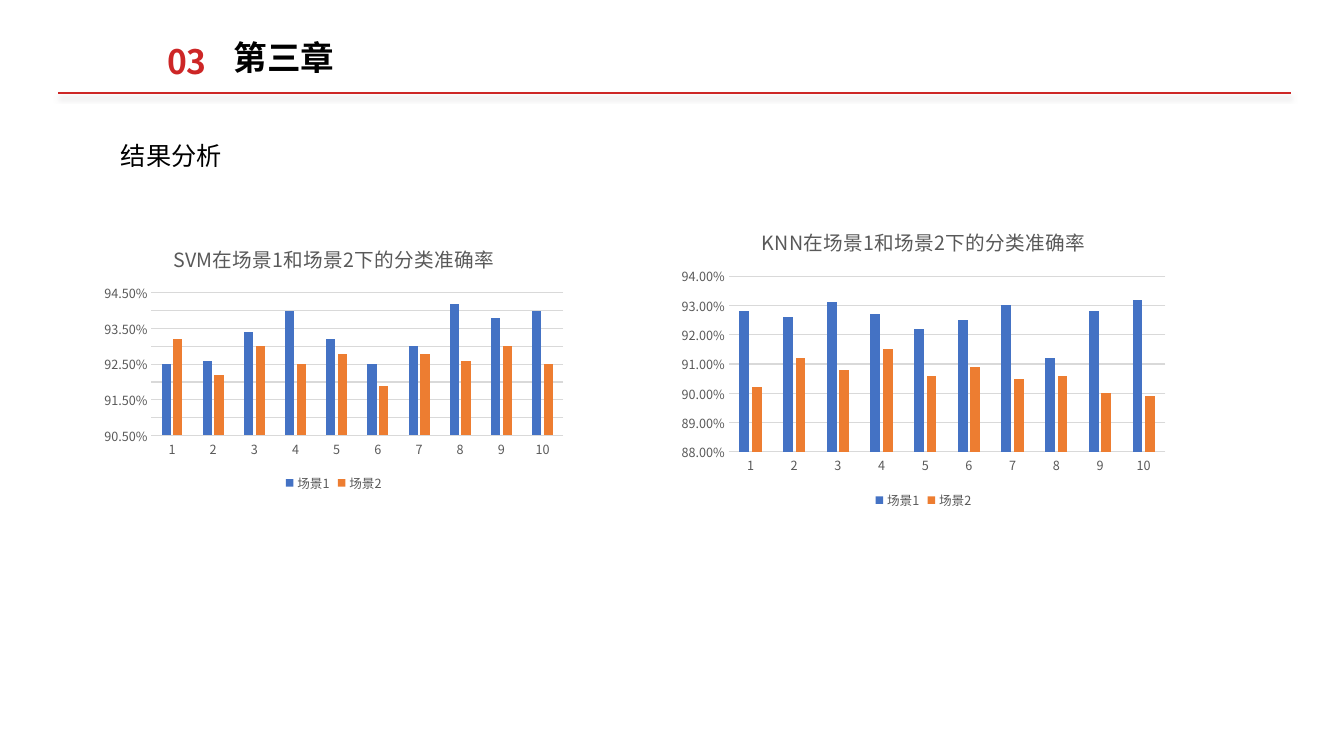
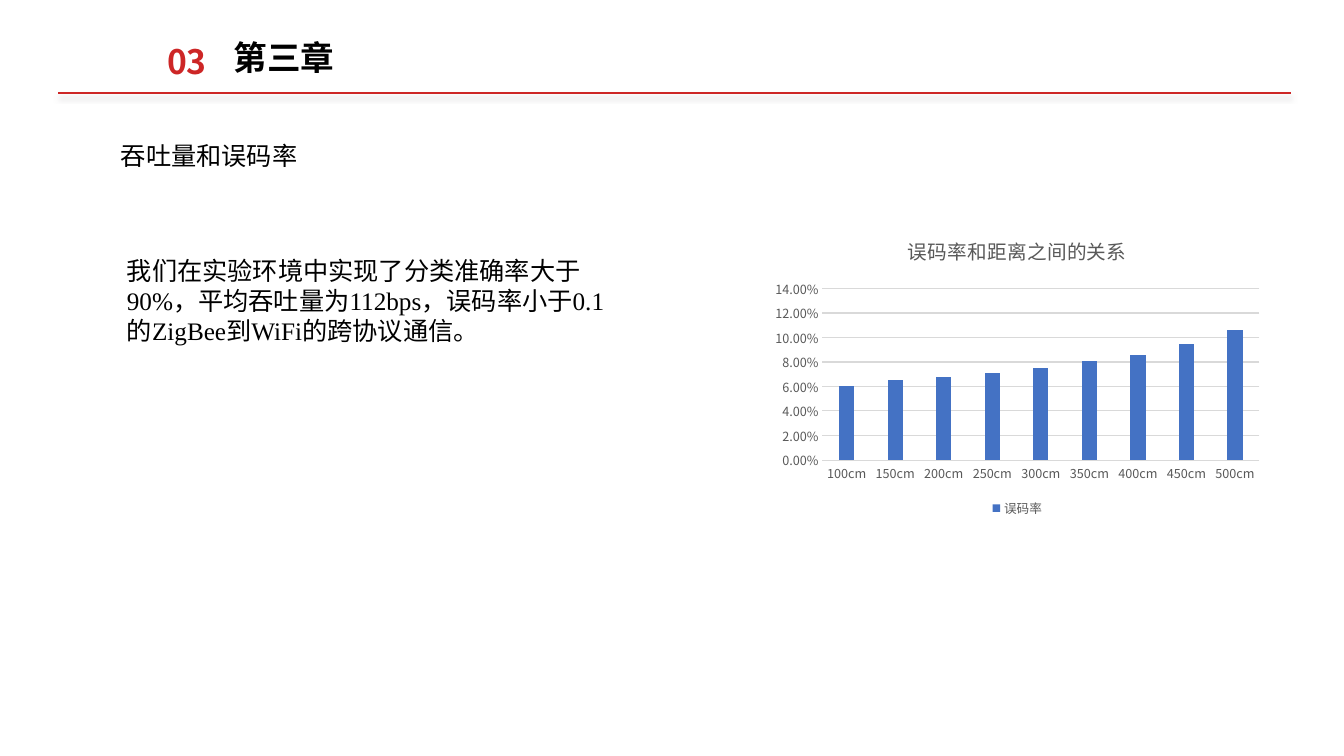
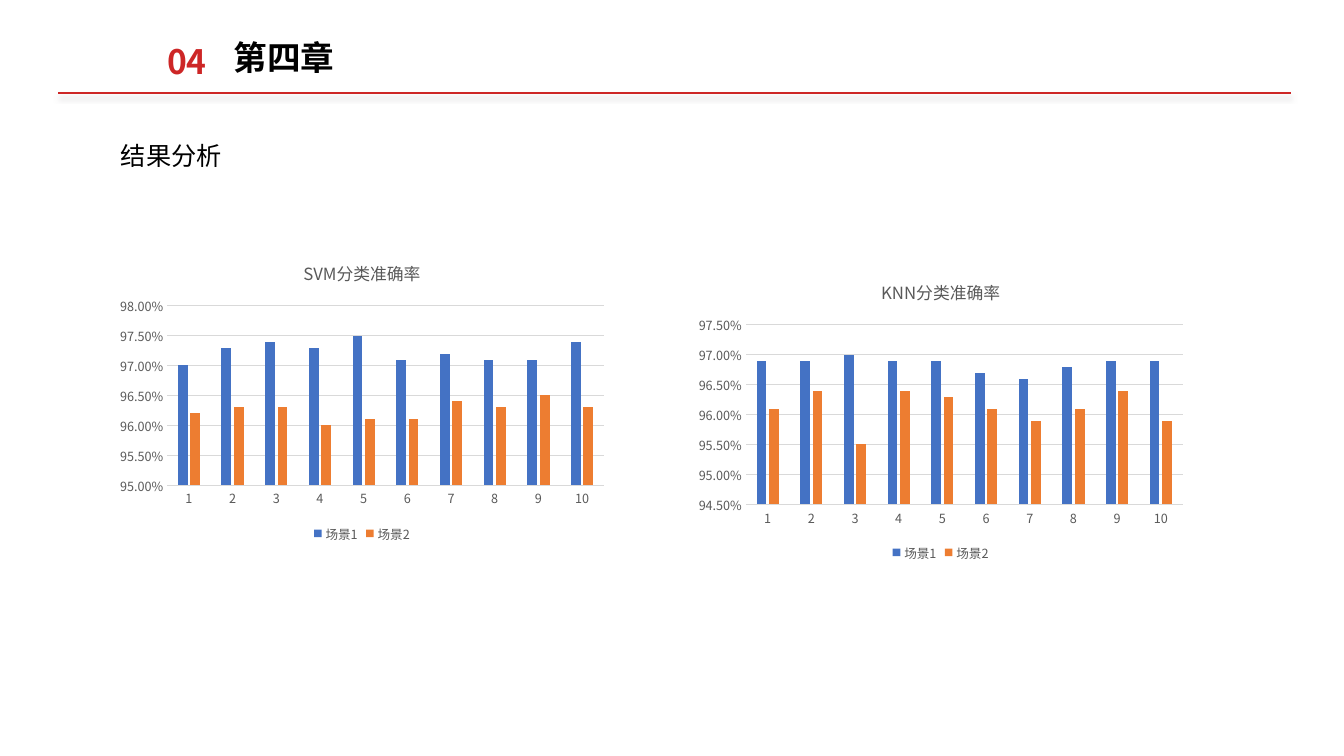
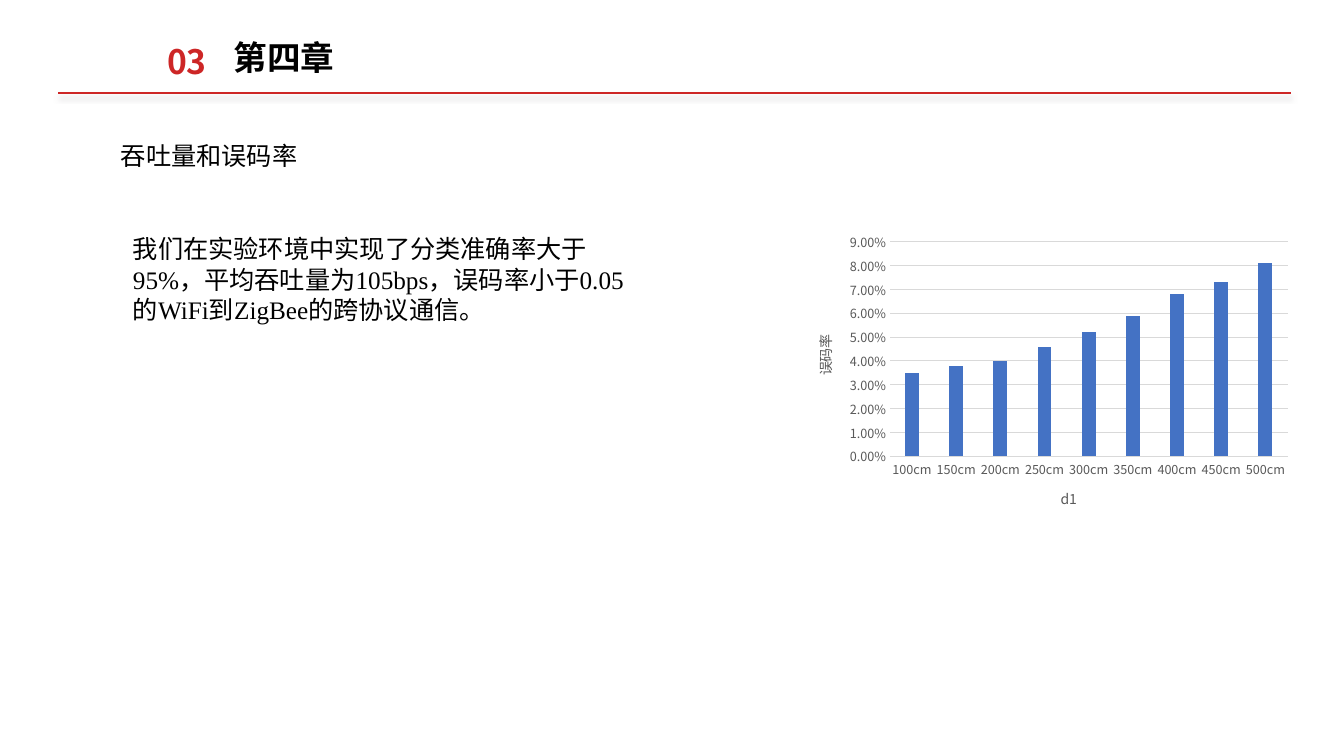
"""Build four slides on classification accuracy and bit error rate."""
from lxml import etree
from pptx import Presentation
from pptx.chart.data import CategoryChartData
from pptx.dml.color import RGBColor
from pptx.enum.chart import XL_CHART_TYPE as ChartType, XL_LEGEND_POSITION as LegendPosition, XL_TICK_MARK as TickMark
from pptx.enum.shapes import MSO_CONNECTOR as Connector
from pptx.enum.text import MSO_AUTO_SIZE as AutoSize
from pptx.oxml import parse_xml
from pptx.oxml.ns import nsdecls, qn
from pptx.util import Inches, Pt

COLORS = {
    "accent": "CD2626",
    "text": "000000",
    "chart_text": "595959",
    "grid": "D9D9D9",
    "shadow": "D9D7DA",
    "series": ["4472C4", "ED7D31"],
}
SANS = "Noto Sans CJK SC"
SERIF = "Times New Roman"
ROUNDS = [str(number) for number in range(1, 11)]
DISTANCES = [f"{distance}cm" for distance in range(100, 501, 50)]
SCENES = ["场景1", "场景2"]

SLIDES = [
    {
        "number": "03", "chapter": "第三章", "heading": "结果分析",
        "charts": [
            {
                "box": (0.94, 2.26, 4.74, 2.66), "title": "SVM在场景1和场景2下的分类准确率", "title_size": 14,
                "categories": ROUNDS, "names": SCENES, "legend": True, "scale": (90.5, 94.5, 0.5),
                "percents": [
                    [92.5, 92.6, 93.4, 94, 93.2, 92.5, 93, 94.2, 93.8, 94],
                    [93.2, 92.2, 93, 92.5, 92.8, 91.9, 92.8, 92.6, 93, 92.5],
                ],
            },
            {
                "box": (6.66, 2.08, 5, 3.01), "title": "KNN在场景1和场景2下的分类准确率", "title_size": 14,
                "categories": ROUNDS, "names": SCENES, "legend": True, "scale": (88, 94, 1),
                "percents": [
                    [92.8, 92.6, 93.1, 92.7, 92.2, 92.5, 93, 91.2, 92.8, 93.2],
                    [90.2, 91.2, 90.8, 91.5, 90.6, 90.9, 90.5, 90.6, 90, 89.9],
                ],
            },
        ],
    },
    {
        "number": "03", "chapter": "第三章", "heading": "吞吐量和误码率",
        "body": "我们在实验环境中实现了分类准确率大于90%，平均吞吐量为112bps，误码率小于0.1的ZigBee到WiFi的跨协议通信。",
        "body_box": (1.16, 2.48, 5.12, 1.01),
        "charts": [
            {
                "box": (7.59, 2.17, 5, 3), "title": "误码率和距离之间的关系", "title_size": 14,
                "categories": DISTANCES, "names": ["误码率"], "legend": True, "scale": (0, 15, 2),
                "percents": [[6, 6.5, 6.8, 7.1, 7.5, 8.1, 8.6, 9.5, 10.6]],
            },
        ],
    },
    {
        "number": "04", "chapter": "第四章", "heading": "结果分析",
        "charts": [
            {
                "box": (1.09, 2.42, 5, 3), "title": "SVM分类准确率", "title_size": 12,
                "categories": ROUNDS, "names": SCENES, "legend": True, "scale": (95, 98, 0.5),
                "percents": [
                    [97, 97.3, 97.4, 97.3, 97.5, 97.1, 97.2, 97.1, 97.1, 97.4],
                    [96.2, 96.3, 96.3, 96, 96.1, 96.1, 96.4, 96.3, 96.5, 96.3],
                ],
            },
            {
                "box": (6.83, 2.61, 5, 3), "title": "KNN分类准确率", "title_size": 12,
                "categories": ROUNDS, "names": SCENES, "legend": True, "scale": (94.5, 97.5, 0.5),
                "percents": [
                    [96.9, 96.9, 97, 96.9, 96.9, 96.7, 96.6, 96.8, 96.9, 96.9],
                    [96.1, 96.4, 95.5, 96.4, 96.3, 96.1, 95.9, 96.1, 96.4, 95.9],
                ],
            },
        ],
    },
    {
        "number": "03", "chapter": "第四章", "heading": "吞吐量和误码率",
        "body": "我们在实验环境中实现了分类准确率大于95%，平均吞吐量为105bps，误码率小于0.05的WiFi到ZigBee的跨协议通信。",
        "body_box": (1.22, 2.27, 5.12, 1.01),
        "charts": [
            {
                "box": (7.87, 2.25, 5, 3), "axis_titles": ("d1", "误码率"),
                "categories": DISTANCES, "names": ["误码率"], "legend": False, "scale": (0, 9, 1),
                "percents": [[3.5, 3.8, 4, 4.6, 5.2, 5.9, 6.8, 7.3, 8.1]],
            },
        ],
    },
]


def style_font(font, size, color, name=SANS, bold=False):
    font.name, font.size, font.bold = name, Pt(size), bold
    font.color.rgb = RGBColor.from_string(color)


def add_text(slide, box, text, size, color=COLORS["text"], name=SANS, bold=False):
    shape = slide.shapes.add_textbox(*map(Inches, box))
    text_frame = shape.text_frame
    text_frame.word_wrap = True
    text_frame.auto_size = AutoSize.SHAPE_TO_FIT_TEXT
    text_frame.text = text
    paragraph = text_frame.paragraphs[0]
    run = paragraph.runs[0]
    style_font(run.font, size, color, name, bold)
    if name == SANS:
        latin = run.font._element.find(qn("a:latin"))
        east_asian = etree.Element(qn("a:ea"), typeface=name)
        latin.addnext(east_asian)
    return paragraph


presentation = Presentation()
presentation.slide_width, presentation.slide_height = Inches(13.33), Inches(7.5)

for content in SLIDES:
    slide = presentation.slides.add_slide(presentation.slide_layouts[6])

    rule = slide.shapes.add_connector(Connector.STRAIGHT, Inches(0.58), Inches(0.92), Inches(12.8), Inches(0.92))
    rule.line.color.rgb = RGBColor.from_string(COLORS["accent"])
    rule.line.width = Pt(1.5)
    rule._element.spPr.append(parse_xml(
        f'<a:effectLst {nsdecls("a")}>'
        f'<a:outerShdw blurRad="{Pt(4)}" dist="{Pt(3)}" dir="5400000" algn="t" rotWithShape="0">'
        f'<a:srgbClr val="{COLORS["shadow"]}"><a:alpha val="60000"/></a:srgbClr>'
        '</a:outerShdw></a:effectLst>'))

    number = add_text(slide, (1.56, 0.27, 0.89, 0.61), content["number"], 24, COLORS["accent"], bold=True)
    spacer = number.add_run()
    spacer.text = " "
    style_font(spacer.font, 30, COLORS["accent"], "Arial", bold=True)
    add_text(slide, (2.22, 0.32, 2.19, 0.5), content["chapter"], 24, bold=True)
    add_text(slide, (1.1, 1.34, 5.25, 0.4), content["heading"], 18)
    if "body" in content:
        add_text(slide, content["body_box"], content["body"], 18, name=SERIF)

    for details in content["charts"]:
        data = CategoryChartData(number_format="0.00%")
        data.categories = details["categories"]
        for name, percents in zip(details["names"], details["percents"]):
            data.add_series(name, [round(percent / 100, 3) for percent in percents])
        box = map(Inches, details["box"])
        chart = slide.shapes.add_chart(ChartType.COLUMN_CLUSTERED, *box, data).chart
        style_font(chart.font, 10, COLORS["text"])

        chart.has_title = "title" in details
        if chart.has_title:
            chart.chart_title.include_in_layout = False
            paragraph = chart.chart_title.text_frame.paragraphs[0]
            paragraph.text = details["title"]
            style_font(paragraph.runs[0].font, details["title_size"], COLORS["chart_text"])

        chart.has_legend = details["legend"]
        if chart.has_legend:
            chart.legend.position = LegendPosition.BOTTOM
            chart.legend.include_in_layout = False
            style_font(chart.legend.font, 9, COLORS["chart_text"])

        plot = chart.plots[0]
        plot.vary_by_categories = False
        plot.gap_width, plot.overlap = 219, -27
        for series, color in zip(plot.series, COLORS["series"]):
            series.format.fill.solid()
            series.format.fill.fore_color.rgb = RGBColor.from_string(color)

        axes = (chart.category_axis, chart.value_axis)
        for axis in axes:
            axis.major_tick_mark = axis.minor_tick_mark = TickMark.NONE
            style_font(axis.tick_labels.font, 9, COLORS["chart_text"])
        for axis, title in zip(axes, details.get("axis_titles", ())):
            paragraph = axis.axis_title.text_frame.paragraphs[0]
            paragraph.text = title
            style_font(paragraph.runs[0].font, 10, COLORS["chart_text"])

        category_axis, value_axis = axes
        value_axis.has_major_gridlines = True
        value_axis.format.line.fill.background()
        for line in (category_axis.format.line, value_axis.major_gridlines.format.line):
            line.color.rgb = RGBColor.from_string(COLORS["grid"])
            line.width = Pt(0.75)
        value_axis.tick_labels.number_format = "0.00%"
        value_axis.tick_labels.number_format_is_linked = False
        minimum, maximum, step = (round(percent / 100, 3) for percent in details["scale"])
        value_axis.minimum_scale, value_axis.maximum_scale, value_axis.major_unit = minimum, maximum, step

presentation.save("out.pptx")
